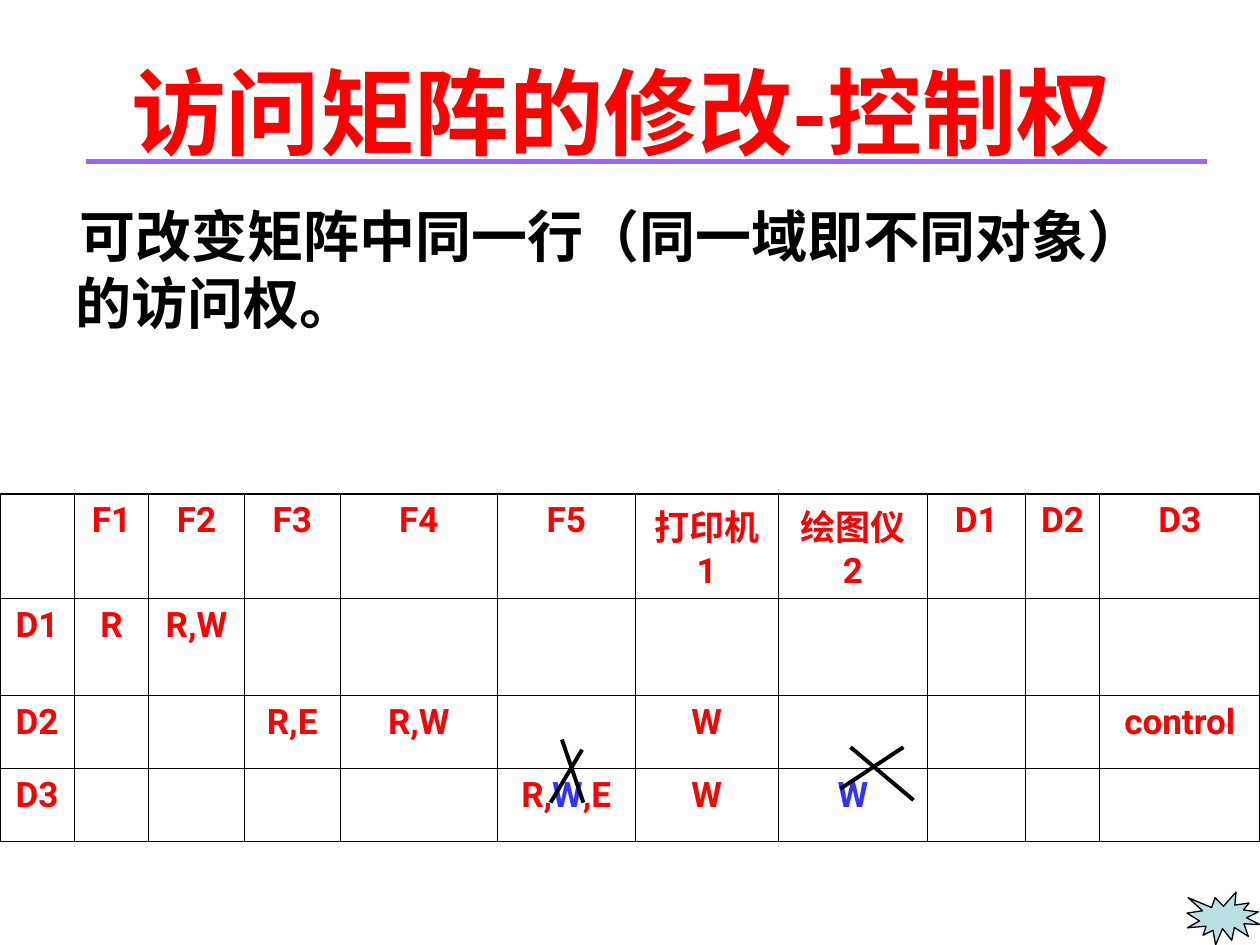
import lxml.etree
import pptx
import pptx.dml.color
import pptx.enum.shapes
import pptx.enum.text
import pptx.oxml.ns
import pptx.util
from pptx.util import Inches

RED = "FF0000"
BLUE = "3333FF"
BLACK = "000000"
CENTER = pptx.enum.text.PP_ALIGN.CENTER
COLUMN_WIDTHS = [0.59, 0.59, 0.76, 0.76, 1.25, 1.09, 1.14, 1.18, 0.78, 0.59, 1.27]
ROW_HEIGHTS = [0.83, 0.77, 0.58, 0.58]
HEADINGS = ["F1", "F2", "F3", "F4", "F5", "打印机1", "绘图仪2", "D1", "D2", "D3"]
RIGHTS = {
    "D1": {1: [("R", RED)], 2: [("R,W", RED)]},
    "D2": {3: [("R,E", RED)], 4: [("R,W", RED)], 6: [("W", RED)], 10: [("control", RED)]},
    "D3": {5: [("R,", RED), ("W", BLUE), (",E", RED)], 6: [("W", RED)], 7: [("W", BLUE)]},
}


def rgb(value):
    """Return the colour for a hex string."""
    return pptx.dml.color.RGBColor.from_string(value)


def add_text(paragraph, text, *, size, font, color, align=None):
    """Add one bold run to a paragraph."""
    if align is not None:
        paragraph.alignment = align
    run = paragraph.add_run()
    run.text = text
    run.font.size = pptx.util.Pt(size)
    run.font.name = font
    run.font.bold = True
    run.font.color.rgb = rgb(color)
    east_asian = lxml.etree.SubElement(run.font._element, pptx.oxml.ns.qn("a:ea"))
    east_asian.set("typeface", "Noto Sans CJK SC")


def add_line(slide, start, end, *, color=BLACK, width=2.25):
    """Draw a straight line between two points in inches."""
    line = slide.shapes.add_connector(
        pptx.enum.shapes.MSO_CONNECTOR.STRAIGHT, *map(Inches, (*start, *end)))
    line.line.color.rgb = rgb(color)
    line.line.width = pptx.util.Pt(width)
    lxml.etree.SubElement(line._element.spPr, pptx.oxml.ns.qn("a:effectLst"))


def add_title(slide, left, top, width, height):
    """Place the title and its underline."""
    title = slide.shapes.title
    title.left, title.top, title.width, title.height = map(Inches, (left, top, width, height))
    title.text_frame.vertical_anchor = pptx.enum.text.MSO_ANCHOR.MIDDLE
    add_text(title.text_frame.paragraphs[0], "访问矩阵的修改-控制权",
             size=54, font="Noto Sans CJK SC", color=RED, align=CENTER)
    add_line(slide, (left + 0.25, top + 1.03), (left + 9.15, top + 1.03), color="9966FF", width=3)


def add_body(slide, left, top, width, height):
    """Place the explanation with its first-line indent."""
    box = slide.shapes.add_textbox(*map(Inches, (left, top, width, height)))
    box.text_frame.word_wrap = True
    paragraph = box.text_frame.paragraphs[0]
    paragraph.line_spacing = 1.0
    properties = paragraph._element.get_or_add_pPr()
    properties.set("marL", str(Inches(0.38)))
    properties.set("indent", str(Inches(0.03)))
    add_text(paragraph, "可改变矩阵中同一行（同一域即不同对象）的访问权。",
             size=32, font="Arial", color=BLACK)


def set_borders(cell, widths):
    """Give a cell black borders, with widths in points by side."""
    properties = cell._tc.get_or_add_tcPr()
    for index, (side, width) in enumerate(widths.items()):
        border = lxml.etree.Element(pptx.oxml.ns.qn(f"a:ln{side}"), w=str(pptx.util.Pt(width)))
        fill = lxml.etree.SubElement(border, pptx.oxml.ns.qn("a:solidFill"))
        lxml.etree.SubElement(fill, pptx.oxml.ns.qn("a:srgbClr"), val=BLACK)
        properties.insert(index, border)


def add_matrix(slide, left, top):
    """Place the access matrix with a heavier outer border."""
    rows, columns = len(ROW_HEIGHTS), len(COLUMN_WIDTHS)
    frame = slide.shapes.add_table(rows, columns, Inches(left), Inches(top),
                                   Inches(sum(COLUMN_WIDTHS)), Inches(sum(ROW_HEIGHTS)))
    table = frame.table
    table.first_row = table.horz_banding = False
    for column, width in zip(table.columns, COLUMN_WIDTHS):
        column.width = Inches(width)
    for row, height in zip(table.rows, ROW_HEIGHTS):
        row.height = Inches(height)
    contents = [{index: [(text, RED)] for index, text in enumerate(HEADINGS, 1)}]
    contents += [{0: [(domain, RED)], **rights} for domain, rights in RIGHTS.items()]
    for row in range(rows):
        for column in range(columns):
            cell = table.cell(row, column)
            cell.fill.background()
            outer = {"L": column == 0, "R": column == columns - 1,
                     "T": row == 0, "B": row == rows - 1}
            set_borders(cell, {side: 1.08 if edge else 0.45 for side, edge in outer.items()})
            for text, color in contents[row].get(column, []):
                add_text(cell.text_frame.paragraphs[0], text,
                         size=20, font="Roboto", color=color, align=CENTER)


def add_cross(slide, left, top, strokes):
    """Strike out a right with lines relative to the given corner."""
    for x1, y1, x2, y2 in strokes:
        add_line(slide, (left + x1, top + y1), (left + x2, top + y2))


def add_burst(slide, left, top, width, height):
    """Place the corner burst."""
    burst = slide.shapes.add_shape(pptx.enum.shapes.MSO_SHAPE.EXPLOSION1,
                                   *map(Inches, (left, top, width, height)))
    burst.shadow.inherit = False
    burst.fill.solid()
    burst.fill.fore_color.rgb = rgb("BBE0E3")
    burst.line.color.rgb = rgb(BLACK)
    burst.line.width = pptx.util.Pt(0.75)


def main():
    """Build and save the slide."""
    presentation = pptx.Presentation()
    presentation.slide_width, presentation.slide_height = Inches(10), Inches(7.5)
    slide = presentation.slides.add_slide(presentation.slide_layouts[5])
    add_title(slide, 0.43, 0.25, 9, 1.25)
    add_body(slide, 0.12, 1.55, 9.39, 1.42)
    add_matrix(slide, 0, 3.92)
    add_cross(slide, 4.37, 5.87, [(0.09, 0, 0.26, 0.5), (0.25, 0.08, 0, 0.5)])
    add_cross(slide, 6.67, 5.93, [(0.08, 0, 0.58, 0.42), (0.5, 0, 0, 0.33)])
    add_burst(slide, 9.42, 7.08, 0.58, 0.42)
    presentation.save("out.pptx")


if __name__ == "__main__":
    main()
